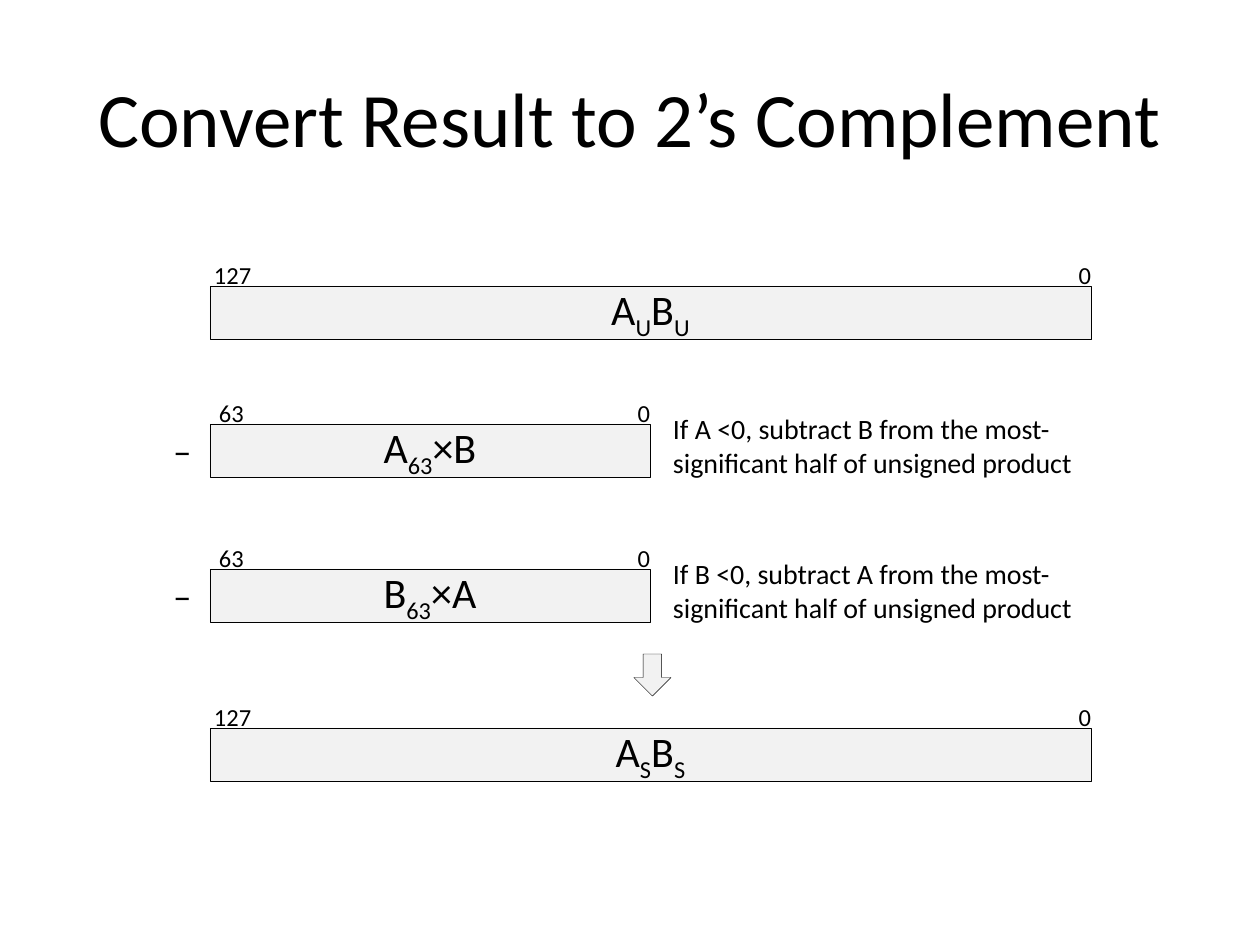
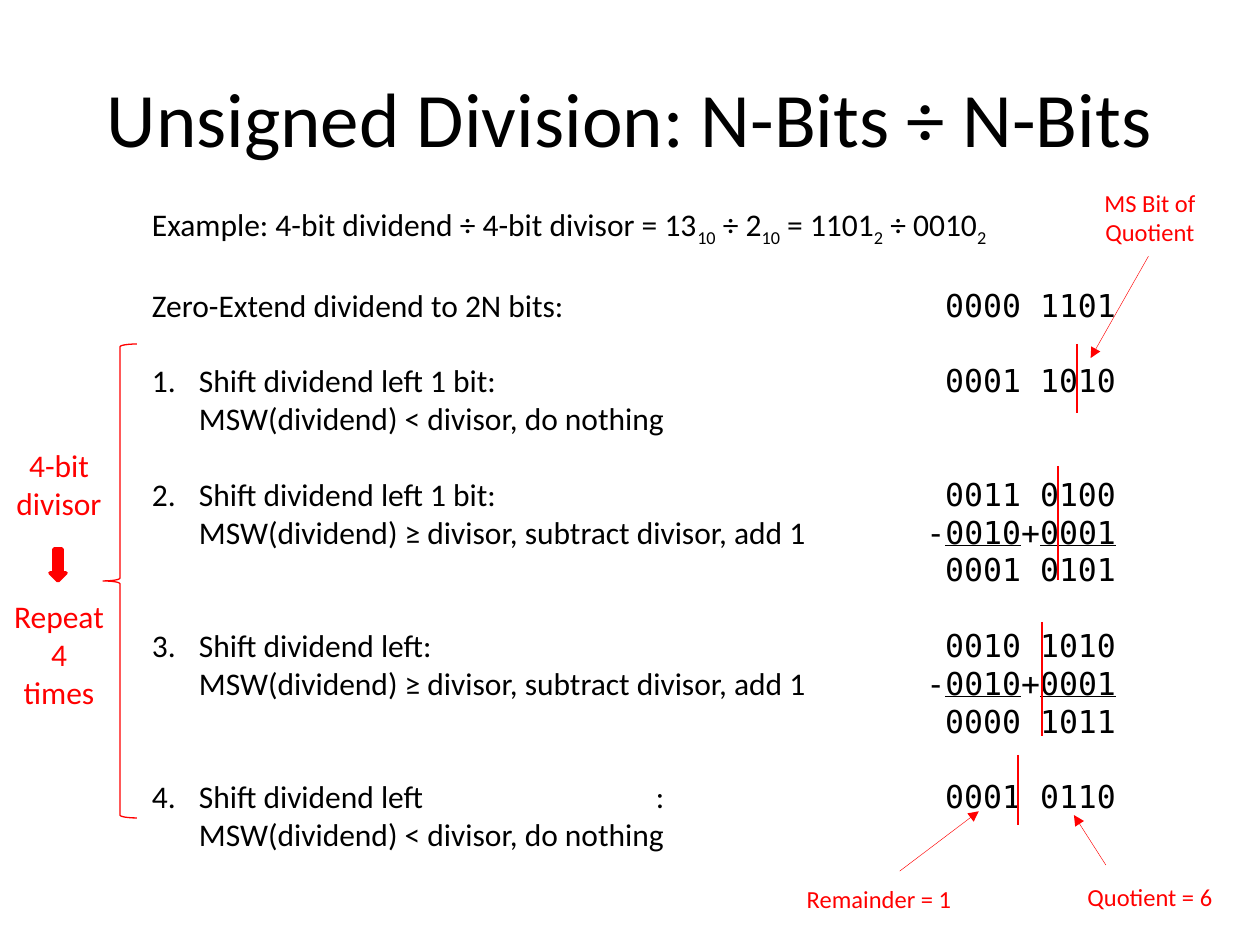
from lxml.etree import SubElement
from pptx import Presentation
from pptx.dml.color import RGBColor
from pptx.enum.shapes import MSO_CONNECTOR as CONNECTOR, MSO_SHAPE as SHAPE
from pptx.enum.text import MSO_ANCHOR as ANCHOR, PP_ALIGN as ALIGN
from pptx.oxml.ns import qn
from pptx.util import Emu, Pt

PX = 914400 // 126
BLACK, RED, GREY = "000000", "FF0000", "F2F2F2"
BODY = {"name": "Calibri"}
MONO = {"name": "DejaVu Sans Mono"}
UNDERLINED = {**MONO, "underline": True}
SUB = {"baseline": "-25000"}
LINE_GAP = 21.6
COLON_STOP, BITS_STOP = 504, 964
DEFAULT_INSETS = (13, 6, 13, 6)
LABEL_INSETS = (0, 6, 0, 6)


def px(length):
    """Turn picture pixels into EMU."""
    return Emu(int(length * PX))


def rgb(hex_code):
    """Turn a hex string into a colour."""
    return RGBColor.from_string(hex_code)


def add_runs(paragraph, runs, size, color):
    """Fill a paragraph from strings and (string, style) pairs; "\\n" breaks the line."""
    for piece in runs:
        if piece == "\n":
            paragraph.add_line_break()
            continue
        text, style = (piece, {}) if isinstance(piece, str) else piece
        run = paragraph.add_run()
        run.text = text
        run.font.color.rgb = rgb(color)
        for key, value in {**BODY, "size": Pt(size), **style}.items():
            if key == "baseline":
                run._r.get_or_add_rPr().set(key, value)
            else:
                setattr(run.font, key, value)


def fill_frame(shape, runs, size, color=BLACK, align=ALIGN.CENTER,
               anchor=ANCHOR.MIDDLE, insets=DEFAULT_INSETS):
    """Set up a text frame and write its first paragraph."""
    frame = shape.text_frame
    settings = {"word_wrap": True, "vertical_anchor": anchor}
    sides = ("margin_left", "margin_top", "margin_right", "margin_bottom")
    settings.update(zip(sides, map(px, insets)))
    for key, value in settings.items():
        setattr(frame, key, value)
    frame.paragraphs[0].alignment = align
    add_runs(frame.paragraphs[0], runs, size, color)
    return frame


def add_text(slide, box, runs, size, **options):
    """Add a text box anchored at the top unless told otherwise."""
    options = {"anchor": ANCHOR.TOP, **options}
    return fill_frame(slide.shapes.add_textbox(*map(px, box)), runs, size, **options)


def add_title(slide, text):
    """Add the title shared by all slides."""
    add_text(slide, (0, 38, 1260, 157), [text], 44, anchor=ANCHOR.MIDDLE)


def add_outlined(slide, kind, box, line=BLACK, weight=0.25, fill=None):
    """Add a preset shape with a line and an optional fill."""
    shape = slide.shapes.add_shape(kind, *map(px, box))
    shape.shadow.inherit = False
    if fill:
        shape.fill.solid()
        shape.fill.fore_color.rgb = rgb(fill)
    else:
        shape.fill.background()
    shape.line.color.rgb = rgb(line)
    shape.line.width = Pt(weight)
    return shape


def add_register(slide, top, width, high_bit, runs):
    """Add a register bar with its highest and lowest bit numbers."""
    left, label_width = 210, 50
    bar = add_outlined(slide, SHAPE.RECTANGLE, (left, top, width, 53), fill=GREY)
    fill_frame(bar, runs, 24)
    high_left = left + (4 if high_bit == "127" else 9)
    for label_left, bit, align in (
            (high_left, high_bit, ALIGN.LEFT),
            (left + width - label_width, "0", ALIGN.RIGHT)):
        add_text(slide, (label_left, top - 32, label_width, 43), [bit], 14,
                 align=align, insets=LABEL_INSETS)


def add_callout(slide, box, text, adjustments):
    """Add a red note whose leader line ends in an arrowhead."""
    note = add_outlined(slide, SHAPE.LINE_CALLOUT_1_NO_BORDER, box, RED)
    for index, value in enumerate(adjustments):
        note.adjustments[index] = value
    SubElement(note.line._get_or_add_ln(), qn("a:tailEnd"), type="triangle")
    fill_frame(note, [text], 14, RED)


def add_divider(slide, x, top, bottom):
    """Add the red line between remainder and quotient bits."""
    line = slide.shapes.add_connector(CONNECTOR.STRAIGHT, *map(px, (x, top, x, bottom)))
    line.line.color.rgb = rgb(RED)
    line.line.width = Pt(1.5)
    SubElement(line._element.spPr, qn("a:effectLst"))


def format_step(paragraph, number, gap, stops):
    """Set the spacing, tab stops and optional step number of a paragraph."""
    paragraph.space_before = Pt(LINE_GAP if gap else 0)
    props = paragraph._p.get_or_add_pPr()
    if number:
        props.set("marL", str(px(47)))
        props.set("indent", str(-px(47)))
        SubElement(props, qn("a:buAutoNum"), type="arabicPeriod", startAt=str(number))
    tabs = SubElement(props, qn("a:tabLst"))
    for position, align in stops:
        SubElement(tabs, qn("a:tab"), pos=str(px(position)), algn=align)


def add_division_steps(slide):
    """Add the worked division, with the bits in a right-aligned column."""
    example = ["Example: 4-bit dividend ÷ 4-bit divisor = 13", ("10", SUB), " ÷ 2",
               ("10", SUB), " = 1101", ("2", SUB), " ÷ 0010", ("2", SUB)]
    nothing = ["\n", "MSW(dividend) < divisor, do nothing"]
    subtract = ["\n", "MSW(dividend) ≥ divisor, subtract divisor, add 1\t", ("-", MONO),
                ("0010", UNDERLINED), ("+", MONO), ("0001", UNDERLINED)]
    # step number, gap above, label, bits, following line
    steps = [
        (None, True, "Zero-Extend dividend to 2N bits:\t", "0000 1101", []),
        (1, True, "Shift dividend left 1 bit:\t", "0001 1010", nothing),
        (2, True, "Shift dividend left 1 bit:\t", "0011 0100", subtract),
        (None, False, "\t", "0001 0101", []),
        (3, True, "Shift dividend left:\t", "0010 1010", subtract),
        (None, False, "\t", "0000 1011", []),
        (4, True, "Shift dividend left\t:\t", "0001 0110", nothing),
    ]
    frame = add_text(slide, (139, 199, 1087, 699), example, 18, align=ALIGN.LEFT)
    for number, gap, label, bits, follow_up in steps:
        paragraph = frame.add_paragraph()
        stops = [(BITS_STOP, "r")]
        if label.count("\t") > 1:
            stops.insert(0, (COLON_STOP, "l"))
        format_step(paragraph, number, gap, stops)
        add_runs(paragraph, [label, (bits, MONO), *follow_up], 18, BLACK)


def build_complement(slide):
    """Build the slide on converting the product to 2's complement."""
    add_register(slide, 286, 881, "127", ["A", ("U", SUB), "B", ("U", SUB)])
    for top, sign, other in ((424, "A", "B"), (569, "B", "A")):
        add_register(slide, top, 440, "63", [sign, ("63", SUB), "×" + other])
        add_text(slide, (156, top, 53, 55), ["−"], 20, insets=LABEL_INSETS)
        rule = (f"If {sign} <0, subtract {other} from the most-"
                "significant half of unsigned product")
        add_text(slide, (660, top - 18, 431, 81), [rule], 16, align=ALIGN.LEFT)
    add_outlined(slide, SHAPE.DOWN_ARROW, (634, 654, 37, 42), fill=GREY)
    add_register(slide, 728, 881, "127", ["A", ("S", SUB), "B", ("S", SUB)])
    add_title(slide, "Convert Result to 2’s Complement")


def build_division(slide):
    """Build the slide with the worked unsigned division."""
    add_title(slide, "Unsigned Division: N-Bits ÷ N-Bits")
    add_division_steps(slide)
    for box, text, adjustments in (
            ((1074, 856, 152, 82), "Quotient = 6", (0.11, 0.21, -0.5, 0)),
            ((775, 858, 208, 82), "Remainder = 1", (0.16, 0.6, -0.57, 0.98)),
            ((1074, 176, 152, 82), "MS Bit of Quotient", (0.98, 0.49, 2.22, 0.11))):
        add_callout(slide, box, text, adjustments)
    add_outlined(slide, SHAPE.LEFT_BRACE, (103, 344, 34, 474), RED, 0.75)
    repeat = add_text(slide, (0, 440, 118, 280), ["4-bit divisor"], 18, color=RED)
    times = repeat.add_paragraph()
    times.alignment = ALIGN.CENTER
    times.space_before = Pt(2 * LINE_GAP)
    add_runs(times, ["Repeat 4 times"], 18, RED)
    add_outlined(slide, SHAPE.DOWN_ARROW, (50, 549, 16, 32), RED, 2, RED)
    for x, top, bottom in ((1077, 344, 413), (1058, 466, 580),
                           (1042, 622, 736), (1018, 755, 825)):
        add_divider(slide, x, top, bottom)


def main():
    """Build both slides and save the presentation."""
    deck = Presentation()
    deck.slide_width, deck.slide_height = px(1260), px(945)
    for build in (build_complement, build_division):
        build(deck.slides.add_slide(deck.slide_layouts[6]))
    deck.save("out.pptx")


main()
